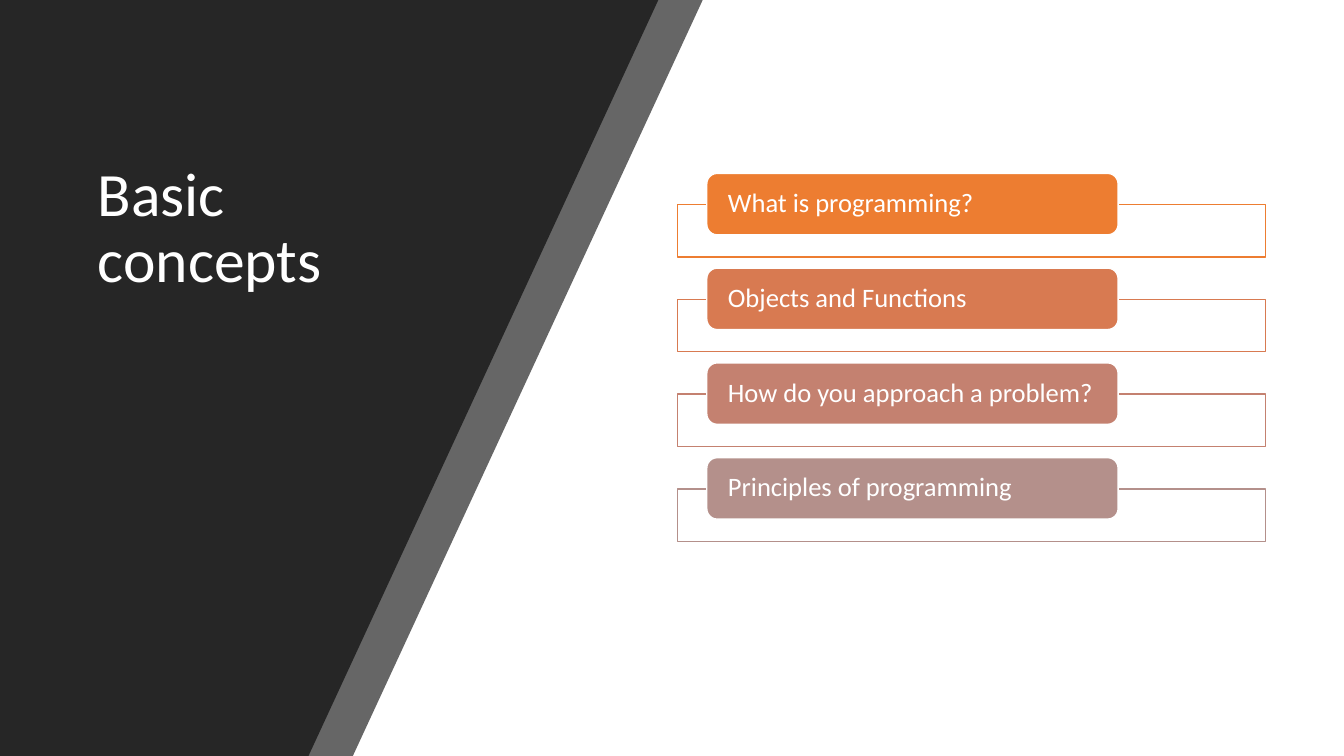
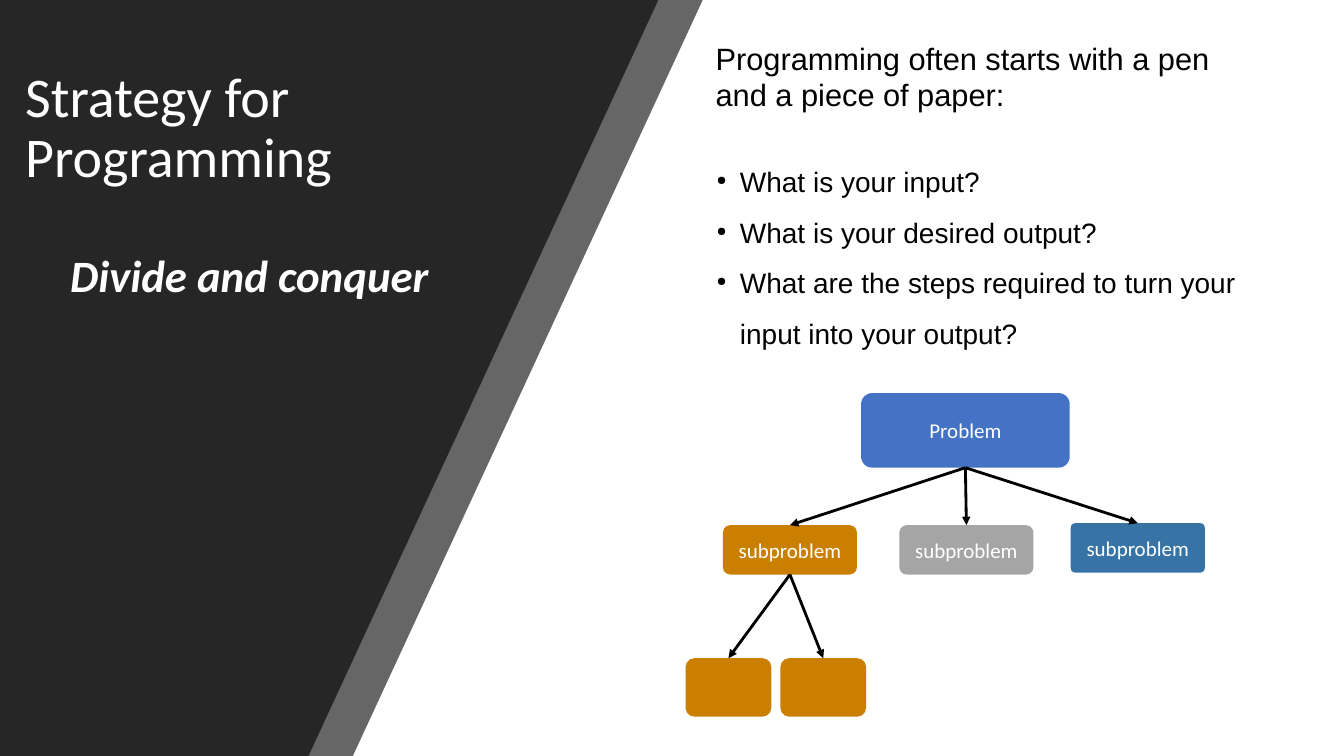
from dataclasses import dataclass

from lxml.etree import SubElement
from pptx import Presentation
from pptx.dml.color import RGBColor
from pptx.enum.shapes import MSO_CONNECTOR, MSO_SHAPE
from pptx.enum.text import MSO_ANCHOR, PP_ALIGN
from pptx.oxml.ns import qn
from pptx.util import Inches, Pt

TOP, BOTTOM = 0, 2  # connection sites


@dataclass(frozen=True)
class Theme:
    # Colours
    dark: str = "262626"
    white: str = "FFFFFF"
    black: str = "000000"
    blue: str = "4472C4"
    steel: str = "3774A5"
    amber: str = "CB7F00"
    grey: str = "A5A5A5"
    cards: tuple = ("ED7D31", "D87A51", "C48170", "B4908B")
    # Fonts and type sizes
    heading_font: str = "Calibri"
    body_font: str = "Arial"
    large_title: int = 44
    title: int = 40
    subtitle: int = 32
    lead: int = 22
    bullet: int = 20
    card: int = 19
    node: int = 15


def set_format(target, values):
    for name, value in values.items():
        setattr(target, name, value)


class Deck:
    def __init__(self, theme):
        self.theme = theme
        self.presentation = Presentation()
        set_format(self.presentation, {"slide_width": Inches(13.33), "slide_height": Inches(7.5)})
        self.slide = None

    def new_slide(self):
        self.slide = self.presentation.slides.add_slide(self.presentation.slide_layouts[6])
        self.panel(6.97, opacity=70)
        self.panel(6.53)

    def panel(self, top_width, opacity=100):
        """Slanted dark panel that fills the left of the slide."""
        slant, height = 3.47, 7.5
        corners = [(top_width, 0), (top_width - slant, height), (0, height)]
        builder = self.slide.shapes.build_freeform(0, 0)
        builder.add_line_segments([(Inches(x), Inches(y)) for x, y in corners])
        panel = builder.convert_to_shape()
        self.paint(panel, self.theme.dark)
        if opacity < 100:
            colour = panel._element.spPr.find(".//" + qn("a:srgbClr"))
            SubElement(colour, qn("a:alpha"), val=str(opacity * 1000))

    def paint(self, shape, fill, line=None):
        shape.shadow.inherit = False
        shape.fill.solid()
        shape.fill.fore_color.rgb = RGBColor.from_string(fill)
        if line:
            shape.line.color.rgb = RGBColor.from_string(line)
            shape.line.width = Pt(1)
        else:
            shape.line.fill.background()

    def format_frame(self, frame, side=0.05, upright=0.05, anchor=MSO_ANCHOR.MIDDLE):
        set_format(frame, {
            "word_wrap": True,
            "vertical_anchor": anchor,
            "margin_left": Inches(side),
            "margin_right": Inches(side),
            "margin_top": Inches(upright),
            "margin_bottom": Inches(upright),
        })

    def add_text(self, paragraph, text, size, colour=None, font=None, layout=None, **style):
        run = paragraph.add_run()
        run.text = text
        set_format(paragraph, layout or {})
        set_format(run.font, {"size": Pt(size), "name": font or self.theme.heading_font, **style})
        run.font.color.rgb = RGBColor.from_string(colour or self.theme.white)

    def text_box(self, box, **frame_options):
        frame = self.slide.shapes.add_textbox(*map(Inches, box)).text_frame
        self.format_frame(frame, **frame_options)
        return frame

    def title(self, box, text, size):
        frame = self.text_box(box)
        self.add_text(frame.paragraphs[0], text, size, layout={"line_spacing": 0.9})

    def subtitle(self, box, text):
        frame = self.text_box(box, anchor=MSO_ANCHOR.TOP)
        self.add_text(frame.paragraphs[0], text, self.theme.subtitle, bold=True, italic=True,
                      layout={"alignment": PP_ALIGN.CENTER})

    def rounded(self, box, fill, line=None, radius=0.15):
        shape = self.slide.shapes.add_shape(MSO_SHAPE.ROUNDED_RECTANGLE, *map(Inches, box))
        shape.adjustments[0] = radius
        self.paint(shape, fill, line)
        return shape

    def card(self, top, text, colour):
        """Outlined strip with a filled label across its upper edge."""
        strip = self.slide.shapes.add_shape(
            MSO_SHAPE.RECTANGLE, *map(Inches, (6.72, top + 0.31, 5.83, 0.52)))
        self.paint(strip, self.theme.white, colour)
        label = self.rounded((7.01, top, 4.08, 0.61), colour, self.theme.white, radius=0.17)
        self.format_frame(label.text_frame, side=0.18, upright=0)
        self.add_text(label.text_frame.paragraphs[0], text, self.theme.card,
                      layout={"alignment": PP_ALIGN.LEFT, "line_spacing": 0.9})

    def node(self, box, colour, text=None, radius=0.15):
        node = self.rounded(box, colour, radius=radius)
        if text:
            self.format_frame(node.text_frame, side=0.02, upright=0.04)
            self.add_text(node.text_frame.paragraphs[0], text, self.theme.node,
                          layout={"alignment": PP_ALIGN.CENTER})
        return node

    def arrow(self, parent, child):
        arrow = self.slide.shapes.add_connector(MSO_CONNECTOR.STRAIGHT, 0, 0, 0, 0)
        arrow.begin_connect(parent, BOTTOM)
        arrow.end_connect(child, TOP)
        arrow.line.color.rgb = RGBColor.from_string(self.theme.black)
        arrow.line.width = Pt(2)
        outline = arrow._element.spPr.find(qn("a:ln"))
        SubElement(outline, qn("a:tailEnd"), type="triangle")
        SubElement(arrow._element.spPr, qn("a:effectLst"))

    def bullet(self, paragraph):
        properties = paragraph._p.get_or_add_pPr()
        for name, length in {"marL": 0.24, "indent": -0.23}.items():
            properties.set(name, str(Inches(length)))
        colour = SubElement(properties, qn("a:buClr"))
        SubElement(colour, qn("a:srgbClr"), val=self.theme.black)
        SubElement(properties, qn("a:buSzPct"), val="45000")
        SubElement(properties, qn("a:buChar"), char="●")

    def questions(self, box, lead, bullets):
        """Lead sentence followed by a bulleted list."""
        theme = self.theme
        body = {"colour": theme.black, "font": theme.body_font}
        frame = self.text_box(box, side=0.1, anchor=MSO_ANCHOR.TOP)
        self.add_text(frame.paragraphs[0], lead, theme.lead, **body)
        for index, text in enumerate(bullets):
            paragraph = frame.add_paragraph()
            self.bullet(paragraph)
            gap = Pt(0 if index else 25)
            self.add_text(paragraph, text, theme.bullet, **body,
                          layout={"line_spacing": 1.5, "space_before": gap})


def concepts_slide(deck):
    deck.new_slide()
    deck.title((0.92, 0.48, 3.58, 3.6), "Basic concepts", deck.theme.large_title)
    topics = ("What is programming?", "Objects and Functions",
              "How do you approach a problem?", "Principles of programming")
    for row, (topic, colour) in enumerate(zip(topics, deck.theme.cards)):
        deck.card(1.72 + 0.94 * row, topic, colour)


def strategy_slide(deck):
    theme = deck.theme
    deck.new_slide()
    deck.title((0.2, 0.48, 4.29, 1.61), "Strategy for Programming", theme.title)
    deck.subtitle((0.3, 2.41, 4.35, 0.63), "Divide and conquer")
    deck.questions((7, 0.34, 5.5, 2.98),
                   "Programming often starts with a pen and a piece of paper:",
                   ("What is your input?", "What is your desired output?",
                    "What are the steps required to turn your input into your output?"))

    # Problem tree
    problem = deck.node((8.54, 3.9, 2.07, 0.74), theme.blue, "Problem")
    branches = ((7.17, 5.21, theme.amber, 0.15),
                (8.92, 5.21, theme.grey, 0.15),
                (10.62, 5.19, theme.steel, 0.09))
    subproblems = [deck.node((left, top, 1.33, 0.49), colour, "subproblem", radius)
                   for left, top, colour, radius in branches]
    parts = [deck.node((left, 6.53, 0.85, 0.58), theme.amber) for left in (6.8, 7.74)]
    for parent, children in ((problem, subproblems), (subproblems[0], parts)):
        for child in children:
            deck.arrow(parent, child)


def main():
    deck = Deck(Theme())
    concepts_slide(deck)
    strategy_slide(deck)
    deck.presentation.save("out.pptx")


if __name__ == "__main__":
    main()
